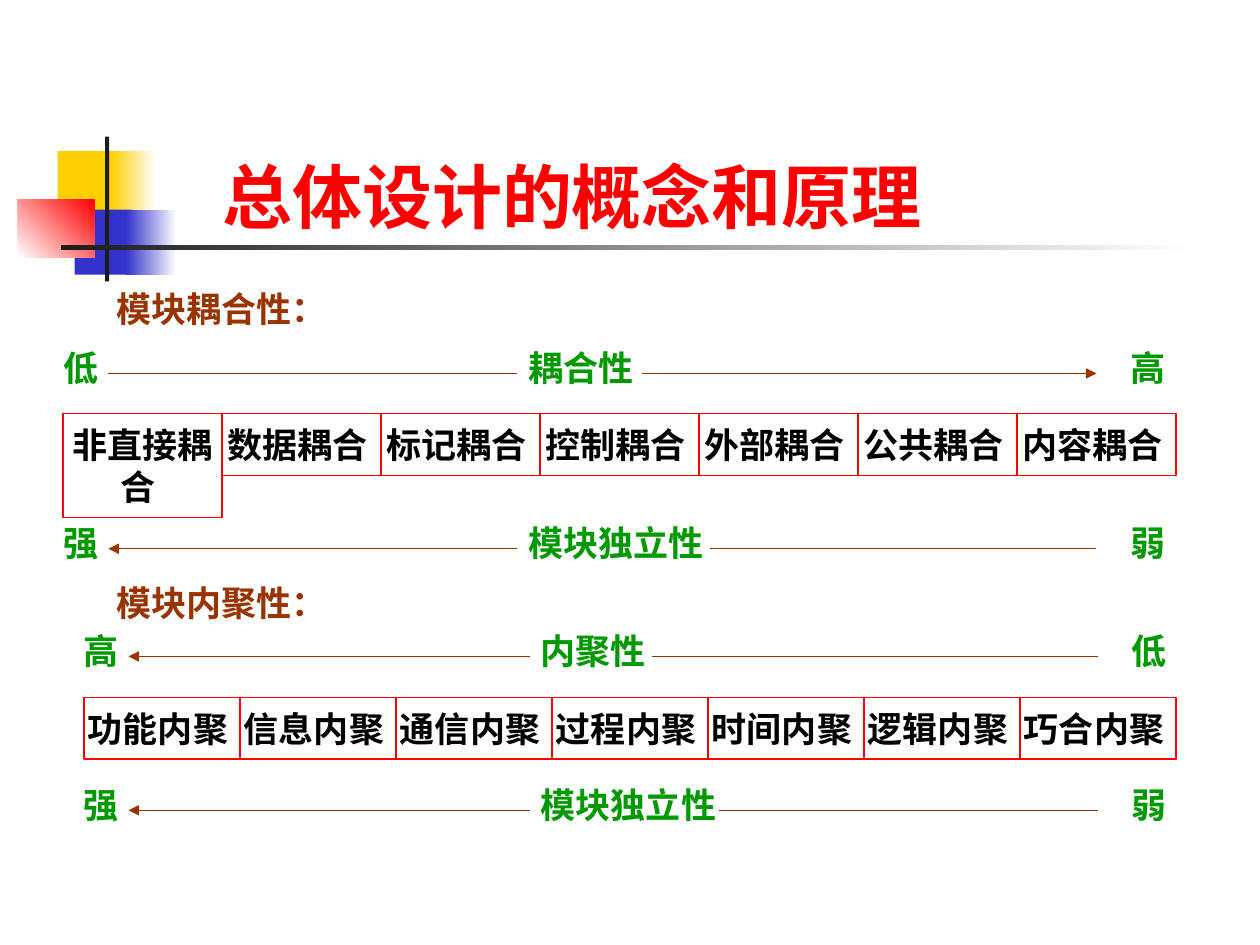
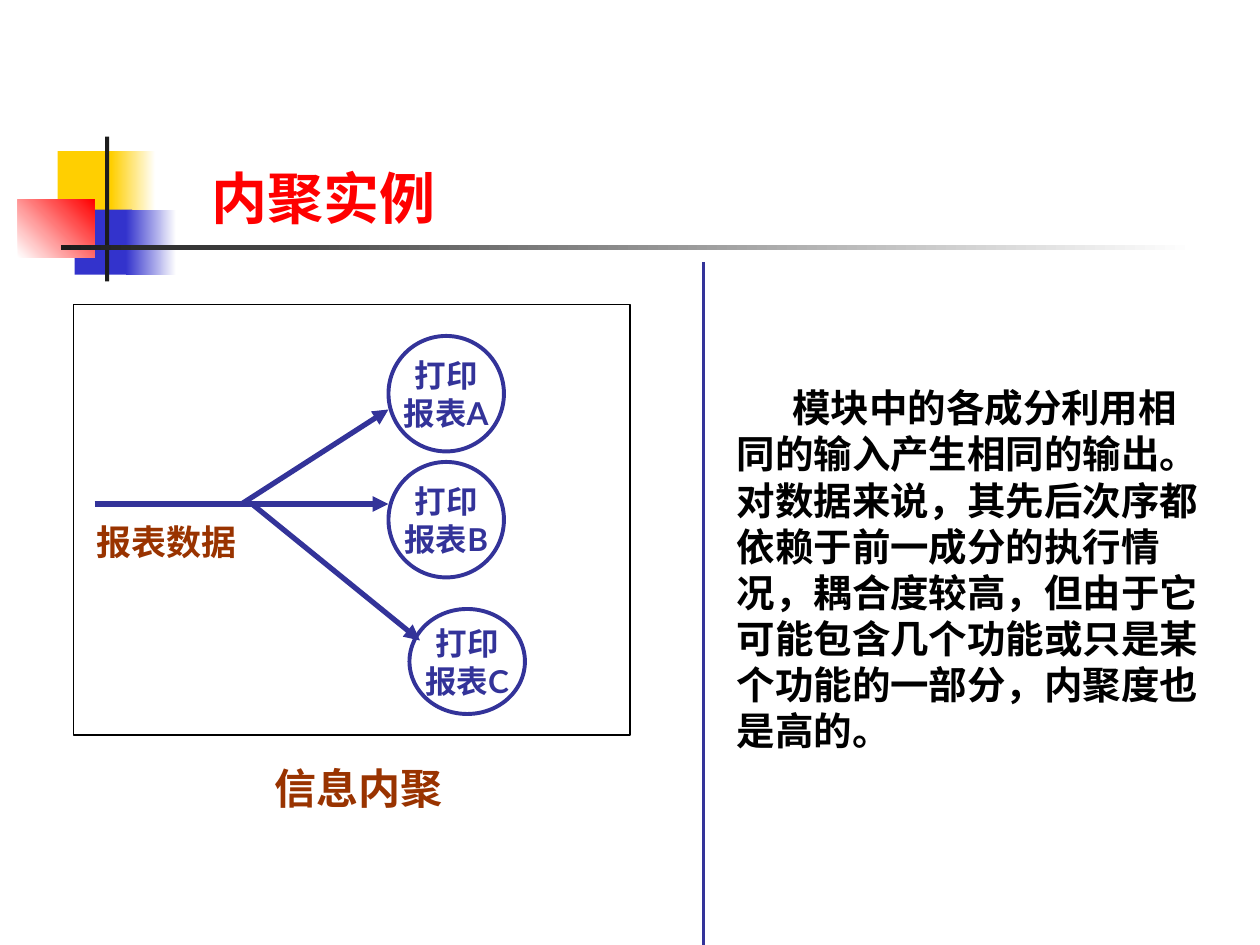
import dataclasses

import pptx
import pptx.dml.color
import pptx.enum.shapes
import pptx.enum.text
import pptx.oxml
import pptx.oxml.ns
import pptx.util

SHAPE = pptx.enum.shapes.MSO_SHAPE
ALIGN = pptx.enum.text.PP_ALIGN
ANCHOR = pptx.enum.text.MSO_ANCHOR
COLS, ROWS = 120, 90
WIDTH, HEIGHT = pptx.util.Inches(10), pptx.util.Inches(7.5)


@dataclasses.dataclass(frozen=True)
class Theme:
    sans: str = "Lato"
    serif: str = "Times New Roman"
    red: str = "FF0000"
    yellow: str = "FFCF01"
    blue: str = "3333CC"
    navy: str = "333399"
    brown: str = "993300"
    green: str = "009900"
    black: str = "000000"
    ink: str = "1C1C1C"
    white: str = "FFFFFF"
    title: int = 40
    subtitle: int = 32
    caption: int = 24
    body: int = 22
    label: int = 20
    node: int = 18
    thin: float = 0.75
    outline: float = 2.25
    thick: float = 3


T = Theme()
PLAIN = (0, 0, 0, 0)
PADDED = (0.1, 0.05, 0.1, 0.05)


def col(n):
    return round(WIDTH * n / COLS)


def row(n):
    return round(HEIGHT * n / ROWS)


def place(x, y, w, h):
    return col(x), row(y), col(w), row(h)


def rgb(code):
    return pptx.dml.color.RGBColor.from_string(code)


def write(sp, lines, color, size, inset=PADDED, align=ALIGN.LEFT,
          anchor=ANCHOR.TOP, wrap=True, indent=0):
    """Fill a shape with lines; each line is a list of (text, font) runs."""
    tf = sp.text_frame
    tf.word_wrap, tf.vertical_anchor = wrap, anchor
    (tf.margin_left, tf.margin_top, tf.margin_right,
     tf.margin_bottom) = map(pptx.util.Inches, inset)
    for i, runs in enumerate(lines):
        p = tf.paragraphs[0] if i == 0 else tf.add_paragraph()
        p.alignment = align
        pPr = p._p.get_or_add_pPr()
        pPr.set("hangingPunct", "0")
        if indent:
            pPr.set("indent", str(col(indent)))
        for text, font in runs:
            r = p.add_run()
            r.text = text
            r.font.name, r.font.size = font, pptx.util.Pt(size)
            r.font.bold, r.font.color.rgb = True, rgb(color)


def add_text(s, at, runs, color, size, **options):
    sp = s.shapes.add_textbox(*place(*at))
    write(sp, [runs], color, size, **options)


def add_block(s, at, start, end=None, angle=0):
    """Add a borderless rectangle, solid or fading from start to end."""
    sp = s.shapes.add_shape(SHAPE.RECTANGLE, *place(*at))
    sp.shadow.inherit = False
    sp.line.fill.background()
    if end is None:
        sp.fill.solid()
        sp.fill.fore_color.rgb = rgb(start)
        return
    sp.fill.gradient()
    sp.fill.gradient_angle = angle
    for stop, color in zip(sp.fill.gradient_stops, (start, end)):
        stop.color.rgb = rgb(color)


def add_outline(s, kind, at, color, weight):
    sp = s.shapes.add_shape(kind, *place(*at))
    sp.shadow.inherit = False
    sp.fill.background()
    sp.line.color.rgb, sp.line.width = rgb(color), pptx.util.Pt(weight)
    return sp


def add_line(s, start, end, color, weight, arrow=None):
    """Add a line; arrow is None, "headEnd" (start) or "tailEnd" (end)."""
    cx = s.shapes.add_connector(
        pptx.enum.shapes.MSO_CONNECTOR.STRAIGHT,
        col(start[0]), row(start[1]), col(end[0]), row(end[1]))
    cx.line.color.rgb, cx.line.width = rgb(color), pptx.util.Pt(weight)
    if arrow:
        ln = cx.line._get_or_add_ln()
        ln.append(pptx.oxml.parse_xml(
            f'<a:{arrow} {pptx.oxml.ns.nsdecls("a")} type="triangle"/>'))
    cx._element.spPr.append(pptx.oxml.parse_xml(
        f'<a:effectLst {pptx.oxml.ns.nsdecls("a")}/>'))


def add_slide(prs, title, at, size, font):
    """Add a slide with the coloured squares, the rule and the title."""
    s = prs.slides.add_slide(prs.slide_layouts[6])
    add_block(s, (5.5, 14.4, 5.8, 6.2), T.yellow)
    add_block(s, (10.6, 14.4, 4.2, 6.2), T.yellow, T.white)
    add_block(s, (7.1, 19.96, 5.5, 6.2), T.blue)
    add_block(s, (12, 19.96, 4.8, 6.2), T.blue, T.white)
    add_block(s, (1.7, 19, 7.3, 5.5), T.white, T.red, 45)
    add_block(s, (10, 13, 0.4, 13.8), T.ink)
    add_block(s, (5.8, 23.35, 108, 0.42), T.ink, T.white)
    add_text(s, at, [(title, font)], T.red, size)
    return s


def add_heading(s, y, topic):
    runs = [("模块", T.sans), (topic, T.serif), ("：", T.sans)]
    add_text(s, (9.9, y, 37.2, 5.3), runs, T.brown, T.label)


def add_scale(s, left, y, unit, words, arrows):
    """Add a row of low end, name and high end, joined by two lines."""
    name_at = 41
    for word, step in zip(words, (0, name_at, 94)):
        at = (left + step * unit, y, (4 * len(word) + 1) * unit, 4)
        add_text(s, at, [(word, T.sans)], T.green, T.label, inset=PLAIN)
    after_name = name_at + 3 * len(words[1]) + 1
    line_y = y + 2.57
    for (a, b), arrow in zip(((4, 40), (after_name, 91)), arrows):
        add_line(s, (left + a * unit, line_y), (left + b * unit, line_y),
                 T.brown, T.thin, arrow)


def add_spectrum(s, left, top, kinds, upper, lower):
    """Add a row of kinds between two scales; a cell is 14 units wide."""
    cell = (112 - left) / len(kinds)
    for i, kind in enumerate(kinds):
        height = 9.9 if len(kind) > 4 else 5.9
        sp = add_outline(s, SHAPE.RECTANGLE,
                         (left + i * cell, top, cell, height), T.red, T.thin)
        write(sp, [[(kind + " ", T.serif)]], T.black, T.label,
              inset=(0, 0.08, 0, 0.08), align=ALIGN.CENTER)
    for y, words, arrows in (upper, lower):
        add_scale(s, left, y, cell / 14, words, arrows)


def add_report(s, at, letter):
    sp = add_outline(s, SHAPE.OVAL, at, T.navy, T.outline)
    write(sp, [[("打印", T.sans)], [("报表" + letter, T.sans)]], T.navy, T.node,
          align=ALIGN.CENTER, anchor=ANCHOR.MIDDLE, wrap=False)


def build_principles(prs):
    s = add_slide(prs, "总体设计的概念和原理", (20, 14, 85, 9.2),
                  T.title, T.serif)
    to_left, to_right = ("headEnd", None), (None, "tailEnd")
    independence = ("强", "模块独立性", "弱")
    add_heading(s, 26.8, "耦合性")
    add_spectrum(
        s, 6, 39.4,
        ["非直接耦合", "数据耦合", "标记耦合", "控制耦合", "外部耦合",
         "公共耦合", "内容耦合"],
        (33, ("低", "耦合性", "高"), to_right),
        (49.7, independence, to_left))
    add_heading(s, 54.8, "内聚性")
    add_spectrum(
        s, 8, 66.4,
        ["功能内聚", "信息内聚", "通信内聚", "过程内聚", "时间内聚",
         "逻辑内聚", "巧合内聚"],
        (59.95, ("高", "内聚性", "低"), to_left),
        (74.6, independence, to_left))


def build_example(prs):
    s = add_slide(prs, "内聚实例", (19, 15, 90, 7.7), T.subtitle, T.sans)
    add_text(s, (69, 36, 47, 43), [(
        "模块中的各成分利用相同的输入产生相同的输出。对数据来说，其先后次序都"
        "依赖于前一成分的执行情况，耦合度较高，但由于它可能包含几个功能或只是"
        "某个功能的一部分，内聚度也是高的。", T.sans)],
        T.black, T.body, indent=5.3)
    add_line(s, (67, 25), (67, ROWS), T.navy, T.outline)
    add_outline(s, SHAPE.RECTANGLE, (7, 29, 53, 41), T.black, T.thin)
    add_report(s, (37, 32, 11, 11), "A")
    add_report(s, (37, 44, 11, 11), "B")
    add_report(s, (39, 58, 11, 10), "C")
    for start, end in (((9, 48), (37, 48)), ((23, 48), (37, 39)),
                       ((24, 48), (40, 61))):
        add_line(s, start, end, T.navy, T.thick, "tailEnd")
    add_text(s, (8, 49, 18, 5.3), [("报表数据", T.sans)], T.brown, T.label)
    add_text(s, (25, 72, 24, 6), [("信息内聚", T.sans)], T.brown, T.caption)


def main():
    prs = pptx.Presentation()
    prs.slide_width, prs.slide_height = WIDTH, HEIGHT
    build_principles(prs)
    build_example(prs)
    prs.save("out.pptx")


if __name__ == "__main__":
    main()
